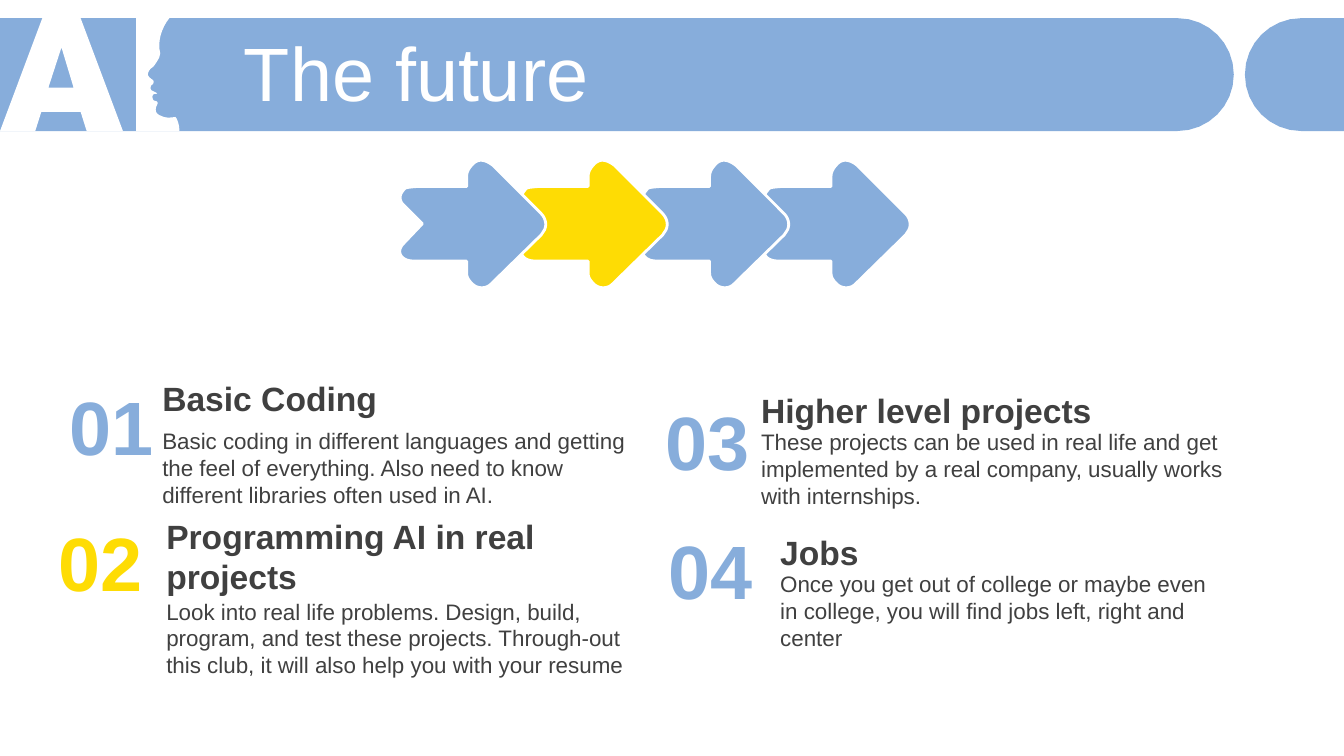
from pptx import Presentation
from pptx import util as u
from pptx.dml.color import RGBColor
from pptx.enum import text

BLUE = RGBColor(0x87, 0xAD, 0xDB)
YELLOW = RGBColor(0xFE, 0xDC, 0x04)
WHITE = RGBColor(0xFF, 0xFF, 0xFF)
GREY = RGBColor(0x40, 0x40, 0x40)

# The slide is a grid of square cells, a tenth of an inch each
CELL = u.Inches(0.1)
COLUMNS, ROWS = 133.33, 75
CURVE_STEPS = 8

# Outlines in cells: two values are a straight line, six a cubic curve
HEADER_BAR = [(0, 1.8), (116.8, 1.8), (119.9, 1.8, 122.4, 4.3, 122.4, 7.4),
              (122.4, 10.5, 119.9, 13, 116.8, 13), (0, 13)]
HEADER_END = [(129.1, 1.8), (COLUMNS, 1.8), (COLUMNS, 13), (129.1, 13),
              (126, 13, 123.5, 10.5, 123.5, 7.4),
              (123.5, 4.3, 126, 1.8, 129.1, 1.8)]
LETTER_A = [(4.2, 1.8), (8, 1.8), (12.2, 13), (8.6, 13), (8, 11.1),
            (4.1, 11.1), (3.5, 13), (0, 13)]
LETTER_A_HOLE = [(6.1, 4.7), (4.8, 8.7), (7.3, 8.7)]
FACE_PROFILE = [(13.5, 1.8), (16.8, 1.8), (16, 2.8, 15.6, 4.2, 15.9, 5.3),
                (15.8, 5.7), (15.7, 5.9, 15.3, 6.6, 15.1, 6.7),
                (14.8, 6.9, 14.6, 7.3, 14.7, 7.5),
                (14.8, 7.7, 15, 7.8, 15.1, 7.9),
                (15.2, 7.9, 15.3, 8.1, 15.2, 8.3),
                (15.2, 8.4, 15, 8.4, 15, 8.5),
                (14.9, 8.7, 14.9, 8.9, 15.1, 9),
                (15.3, 9.1, 15.6, 9.2, 15.6, 9.3),
                (15.6, 9.3, 15.2, 9.3, 15.2, 9.4),
                (15.1, 9.5, 15.1, 9.7, 15.2, 9.9),
                (15.2, 10, 15.5, 10, 15.6, 10.1),
                (15.7, 10.3, 15.6, 10.3, 15.5, 10.6),
                (15.4, 10.9, 15.4, 11.3, 16, 11.5),
                (16.4, 11.7, 16.8, 11.7, 17.4, 11.6),
                (17.6, 11.8, 17.8, 12.4, 17.8, 13), (13.5, 13)]
ARROW = [(8.4, 15.9), (8.7, 15.9, 9.1, 16, 9.6, 16.4), (14.4, 21.2),
         (14.9, 21.7, 15, 22.5, 14.6, 23), (14.4, 23.3), (9.5, 28.1),
         (9, 28.7, 8, 28.7, 7.5, 28.1), (7.2, 27.8, 7, 27.5, 7, 27.1),
         (7, 25.9), (2, 25.9), (1.6, 25.9, 1.1, 25.9, 0.7, 25.6),
         (0.2, 25.2, 0.3, 24.6, 0.7, 24.2), (2.6, 22.2), (0.7, 20.3),
         (0.3, 19.9, 0.3, 19.3, 0.7, 18.9), (0.9, 18.6, 0.9, 18.6, 2.1, 18.5),
         (7, 18.5), (7, 17.5), (7, 17.1, 7.2, 16.7, 7.5, 16.4),
         (7.7, 16.1, 8.1, 15.9, 8.4, 15.9)]

ARROW_LEFT, ARROW_PITCH = 39.3, 12.05
STAGE_COLOURS = [BLUE, YELLOW, BLUE, BLUE]

# Per stage: number corner, heading box, body box (left, top, width, height)
STAGES = [
    ("Basic Coding",
     "Basic coding in different languages and getting the feel of everything. "
     "Also need to know different libraries often used in AI.",
     (5.8, 37.6), (16.1, 37, 47.8, 5), (16.1, 41.9, 47.8, 9.1)),
    ("Programming AI in real projects",
     "Look into real life problems. Design, build, program, and test these "
     "projects. Through-out this club, it will also help you with your resume",
     (4.7, 51.1), (16.5, 50.6, 46, 9.1), (16.5, 58.8, 47.6, 9.1)),
    ("Higher level projects",
     "These projects can be used in real life and get implemented by a real "
     "company, usually works with internships.",
     (65, 39.1), (75.5, 38.2, 47.5, 5), (75.5, 42, 47.5, 9.1)),
    ("Jobs",
     "Once you get out of college or maybe even in college, you will find "
     "jobs left, right and center",
     (65.3, 51.9), (77.4, 52.3, 44.5, 5), (77.4, 56.1, 44.5, 9.1)),
]
NUMBER_SIZE = (9.4, 9.1)

MIDDLE, TOP = text.MSO_ANCHOR.MIDDLE, text.MSO_ANCHOR.TOP
LEFT, RIGHT = text.PP_ALIGN.LEFT, text.PP_ALIGN.RIGHT
NUMBER = dict(size=54, bold=True, align=RIGHT, anchor=MIDDLE, insets=(0, 0, 0))
HEADING = dict(size=24, bold=True, align=LEFT, anchor=MIDDLE,
               insets=(0, 0.5, 1))
BODY = dict(size=16, bold=False, align=LEFT, anchor=TOP, insets=(0, 0.5, 1))
TITLE = dict(size=54, bold=False, align=LEFT, anchor=MIDDLE,
             insets=(1, 0.5, 1))


def cells(count):
    return round(count * CELL)


def set_all(target, values):
    for name, value in values.items():
        setattr(target, name, value)


def place(shape, box):
    set_all(shape, dict(zip(("left", "top", "width", "height"),
                            map(cells, box))))


def trace(outline, shift):
    """Turn an outline into points, sampling its curves evenly."""
    points = [outline[0]]
    for step in outline[1:]:
        if len(step) == 2:
            points.append(step)
            continue
        x0, y0 = points[-1]
        x1, y1, x2, y2, x3, y3 = step
        for i in range(1, CURVE_STEPS + 1):
            t = i / CURVE_STEPS
            a, b, c, d = (1-t)**3, 3*t*(1-t)**2, 3*t*t*(1-t), t**3
            points.append((a*x0 + b*x1 + c*x2 + d*x3,
                           a*y0 + b*y1 + c*y2 + d*y3))
    return [(cells(x + shift), cells(y)) for x, y in points]


def add_outline(slide, outlines, fill, shift=0, edge=None):
    first, *others = [trace(outline, shift) for outline in outlines]
    builder = slide.shapes.build_freeform(*first[0], scale=1.0)
    builder.add_line_segments(first[1:], close=True)
    for points in others:
        builder.move_to(*points[0])
        builder.add_line_segments(points[1:], close=True)
    shape = builder.convert_to_shape()
    shape.shadow.inherit = False
    shape.fill.solid()
    shape.fill.fore_color.rgb = fill
    if edge is None:
        shape.line.fill.background()
    else:
        shape.line.color.rgb = edge
        shape.line.width = u.Pt(2)


def write(shape, words, colour, style, fit):
    frame = shape.text_frame
    side, upright, right = map(cells, style["insets"])
    set_all(frame, dict(word_wrap=True, auto_size=fit,
                        vertical_anchor=style["anchor"],
                        margin_left=side, margin_right=right,
                        margin_top=upright, margin_bottom=upright))
    paragraph = frame.paragraphs[0]
    paragraph.alignment = style["align"]
    run = paragraph.add_run()
    run.text = words
    set_all(run.font, dict(name="Arial", size=u.Pt(style["size"]),
                           bold=style["bold"]))
    run.font.color.rgb = colour


def add_text(slide, box, words, colour, style):
    shape = slide.shapes.add_textbox(*map(cells, box))
    write(shape, words, colour, style, text.MSO_AUTO_SIZE.SHAPE_TO_FIT_TEXT)


def add_title(slide, words):
    title = slide.shapes.title
    place(title, (23.2, 3.7, 106.9, 7.9))
    write(title, words, WHITE, TITLE, text.MSO_AUTO_SIZE.NONE)
    title.text_frame.paragraphs[0].line_spacing = 0.9
    # Bring the title in front of the header bar
    slide.shapes._spTree.append(title._element)


def main():
    prs = Presentation()
    prs.slide_width, prs.slide_height = cells(COLUMNS), cells(ROWS)
    slide = prs.slides.add_slide(prs.slide_layouts[5])

    # Header
    add_outline(slide, [HEADER_BAR], BLUE)
    add_outline(slide, [LETTER_A, LETTER_A_HOLE, FACE_PROFILE], WHITE)
    add_outline(slide, [HEADER_END], BLUE)

    # Arrow chain, each arrow overlapping the one to its right
    for index, colour in reversed(list(enumerate(STAGE_COLOURS))):
        add_outline(slide, [ARROW], colour,
                    ARROW_LEFT + index * ARROW_PITCH, WHITE)
    add_title(slide, "The future")

    # Stages
    for index, (heading, body, corner, heading_box, body_box) in enumerate(STAGES):
        add_text(slide, heading_box, heading, GREY, HEADING)
        add_text(slide, body_box, body, GREY, BODY)
        add_text(slide, corner + NUMBER_SIZE, f"{index + 1:02}",
                 STAGE_COLOURS[index], NUMBER)

    prs.save("out.pptx")


if __name__ == "__main__":
    main()
